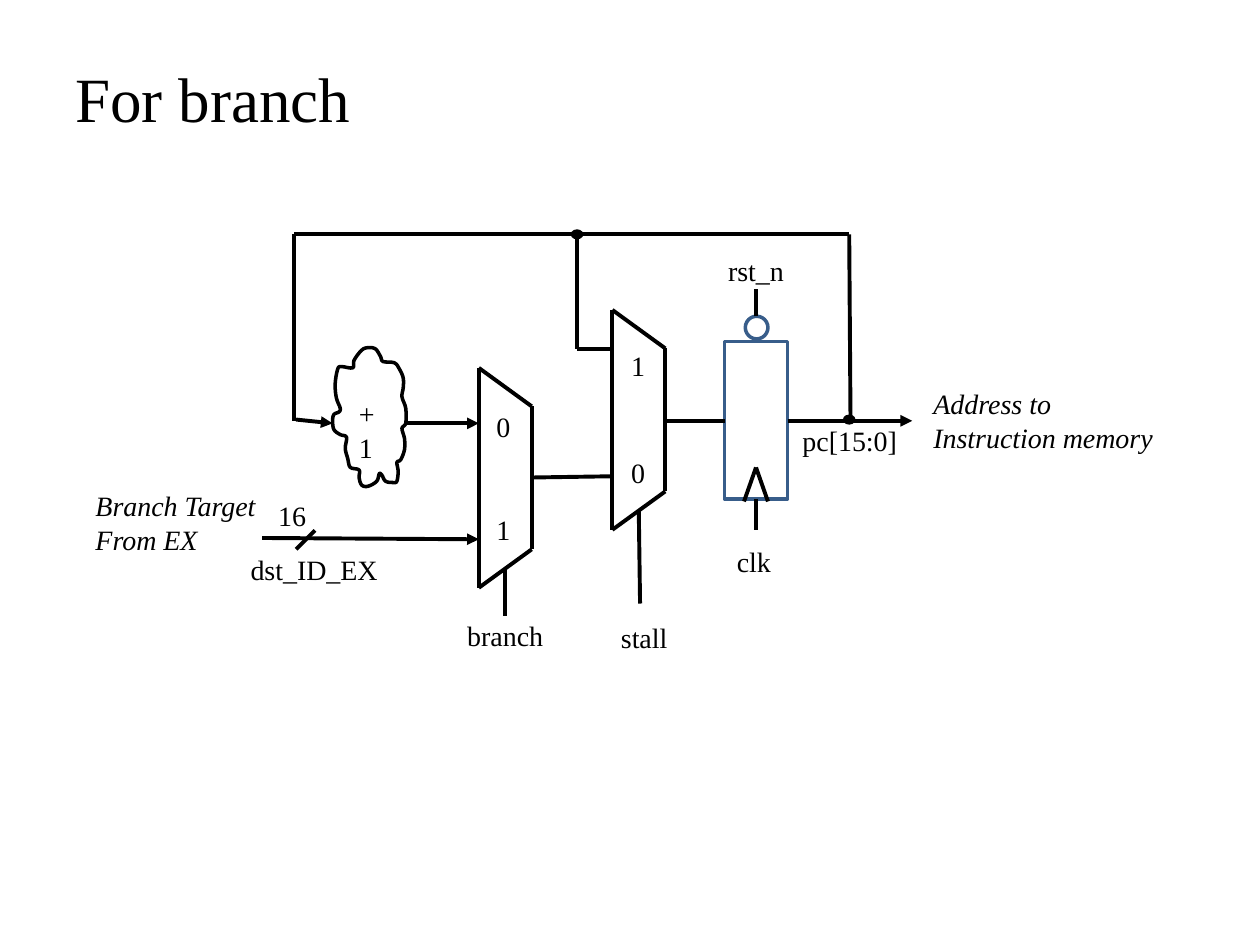
from dataclasses import dataclass

from lxml.etree import SubElement
from pptx import Presentation
from pptx.dml.color import RGBColor
from pptx.enum.shapes import MSO_CONNECTOR, MSO_SHAPE
from pptx.enum.text import MSO_AUTO_SIZE
from pptx.oxml.ns import qn
from pptx.util import Inches, Pt


@dataclass(frozen=True)
class Theme:
    ink: RGBColor = RGBColor(0x00, 0x00, 0x00)
    register: RGBColor = RGBColor(0x38, 0x5D, 0x8A)
    font: str = "Times New Roman"
    title: int = 36
    label: int = 16
    wire: float = 2.25
    outline: float = 2


def grid(n):
    """Columns and rows are a tenth of an inch: 100 by 75 on the slide."""
    return Inches(n / 10)


def smooth_loop(points, steps=4):
    """Points of a closed Catmull-Rom curve through the given points."""
    n = len(points)
    curve = []
    for i in range(n):
        a, b, c, d = (points[(i + k) % n] for k in (-1, 0, 1, 2))
        for t in (j / steps for j in range(steps)):
            curve.append(tuple(
                q + t * (r - p) / 2 + t**2 * (2 * p - 5 * q + 4 * r - s) / 2
                + t**3 * (3 * q - p - 3 * r + s) / 2
                for p, q, r, s in zip(a, b, c, d)))
    return curve


class Diagram:
    def __init__(self, slide, theme):
        self.slide, self.theme = slide, theme

    def wire(self, *points, arrow=False):
        """A run of straight lines through the points, arrow on the last."""
        for start, end in zip(points, points[1:]):
            line = self.slide.shapes.add_connector(
                MSO_CONNECTOR.STRAIGHT, *map(grid, start + end))
            line.line.color.rgb = self.theme.ink
            line.line.width = Pt(self.theme.wire)
            sp_pr = line._element.spPr
            if arrow and end == points[-1]:
                SubElement(sp_pr.find(qn("a:ln")), qn("a:tailEnd"), type="triangle")
            SubElement(sp_pr, qn("a:effectLst"))

    def outline(self, sp, color):
        sp.shadow.inherit = False
        sp.fill.background()
        sp.line.color.rgb = color
        sp.line.width = Pt(self.theme.outline)

    def box(self, kind, x, y, w, h):
        sp = self.slide.shapes.add_shape(kind, *map(grid, (x, y, w, h)))
        self.outline(sp, self.theme.register)

    def junction(self, x, y, w=1, h=0.8):
        sp = self.slide.shapes.add_shape(
            MSO_SHAPE.OVAL, *map(grid, (x - w / 2, y - h / 2, w, h)))
        sp.shadow.inherit = False
        sp.fill.solid()
        sp.fill.fore_color.rgb = self.theme.ink
        sp.line.fill.background()

    def cloud(self, points):
        curve = [(grid(x), grid(y)) for x, y in smooth_loop(points)]
        builder = self.slide.shapes.build_freeform(*curve[0])
        builder.add_line_segments(curve[1:], close=True)
        self.outline(builder.convert_to_shape(), self.theme.ink)

    def mux(self, x, y, select_end, w=4.2, h=17.45, slope=3.05):
        right, bottom = x + w, y + h
        self.wire((x, y), (right, y + slope), (right, bottom - slope),
                  (x, bottom), (x, y))
        self.wire((x + w / 2, bottom - slope / 2), select_end)

    def text(self, text, x, y, w, h=3.7, size=None, italic=False):
        sp = self.slide.shapes.add_textbox(*map(grid, (x, y, w, h)))
        tf = sp.text_frame
        tf.word_wrap = False
        tf.auto_size = MSO_AUTO_SIZE.SHAPE_TO_FIT_TEXT
        tf.text = text
        for p in tf.paragraphs:
            for r in p.runs:
                r.font.name = self.theme.font
                r.font.size = Pt(size or self.theme.label)
                r.font.italic = italic
                r.font.color.rgb = self.theme.ink


CLOUD = [
    (27, 32.4), (26.7, 31.6), (26.6, 30.5), (26.8, 29.3), (27.1, 29.1),
    (28, 29.2), (28.1, 28.6), (28.7, 27.8), (29.2, 27.6), (29.8, 27.7),
    (30.2, 28.3), (30.4, 28.7), (31.3, 28.8), (31.7, 29.3), (32, 30),
    (32, 30.8), (31.9, 31.5), (32.2, 32.4), (32.2, 33.6), (31.9, 34),
    (32.1, 34.8), (32.1, 35.7), (31.8, 36.5), (31.5, 36.7), (31.6, 37.4),
    (31.5, 38.2), (31.2, 38.3), (30.6, 38.2), (30.3, 37.7), (30.1, 37.6),
    (29.9, 38.2), (29.2, 38.6), (28.7, 38.5), (28.5, 37.9), (28.5, 37.3),
    (27.8, 37.1), (27.6, 36.4), (27.4, 35.6), (27.5, 34.7), (27, 34.5),
    (26.5, 34.1), (26.4, 33.4), (26.5, 32.9), (26.9, 32.7),
]

LABELS = [
    ("rst_n", 56.8, 19.6, 6.4), ("pc[15:0]", 62.7, 33.1, 9.5),
    ("clk", 57.5, 42.7, 4.7), ("+1", 27.5, 31, 4.3),
    ("dst_ID_EX", 18.9, 43.4, 12.1), ("16", 21.1, 39.1, 4.2),
    ("branch", 36.1, 48.6, 8), ("stall", 48.3, 48.8, 5.7),
    # Mux input numbers
    ("1", 49.1, 27.2, 3.1), ("0", 49.1, 35.7, 3.1),
    ("0", 38.4, 32, 3.1), ("1", 38.4, 40.2, 3.1),
]

NOTES = [
    ("Address to\nInstruction memory", 73.1, 30.2, 19.4),
    ("Branch Target\nFrom EX", 6.6, 38.3, 15),
]


def main():
    prs = Presentation()
    prs.slide_width, prs.slide_height = grid(100), grid(75)
    theme = Theme()
    s = Diagram(prs.slides.add_slide(prs.slide_layouts[6]), theme)

    s.text("For branch", 5, 4.2, 29.2, 7, size=theme.title)

    # Program counter register with clock and reset
    s.box(MSO_SHAPE.RECTANGLE, 57.5, 27.1, 5, 12.5)
    s.box(MSO_SHAPE.OVAL, 59.15, 25.1, 1.8, 1.8)
    s.wire((59.05, 39.8), (60, 37.1), (60.95, 39.8))
    s.wire((60, 39.6), (60, 42.1))
    s.wire((60, 25.1), (60, 22.9))

    # Stall and branch multiplexers, and the incrementer
    s.mux(48.6, 24.6, select_end=(50.8, 47.9))
    s.mux(38, 29.2, select_end=(40.1, 48.9))
    s.cloud(CLOUD)

    # Forward path
    s.wire((23.5, 33.3), (26.4, 33.6), arrow=True)
    s.wire((32.2, 33.6), (38, 33.6), arrow=True)
    s.wire((42.2, 37.9), (48.6, 37.8))
    s.wire((52.8, 33.4), (57.5, 33.4))
    s.wire((62.5, 33.4), (72.4, 33.4), arrow=True)

    # Feedback path
    s.wire((67.5, 33.1), (67.4, 18.6), (23.3, 18.6), (23.3, 33.4))
    s.wire((45.8, 18.6), (45.8, 27.7), (48.6, 27.7))
    s.junction(45.8, 18.6)
    s.junction(67.4, 33.3)

    # Branch target bus
    s.wire((20.8, 42.7), (38, 42.8), arrow=True)
    s.wire((25, 42.1), (23.5, 43.6))

    # Signal names and notes
    for label in LABELS:
        s.text(*label)
    for note in NOTES:
        s.text(*note, h=6.4, italic=True)

    prs.save("out.pptx")


if __name__ == "__main__":
    main()
